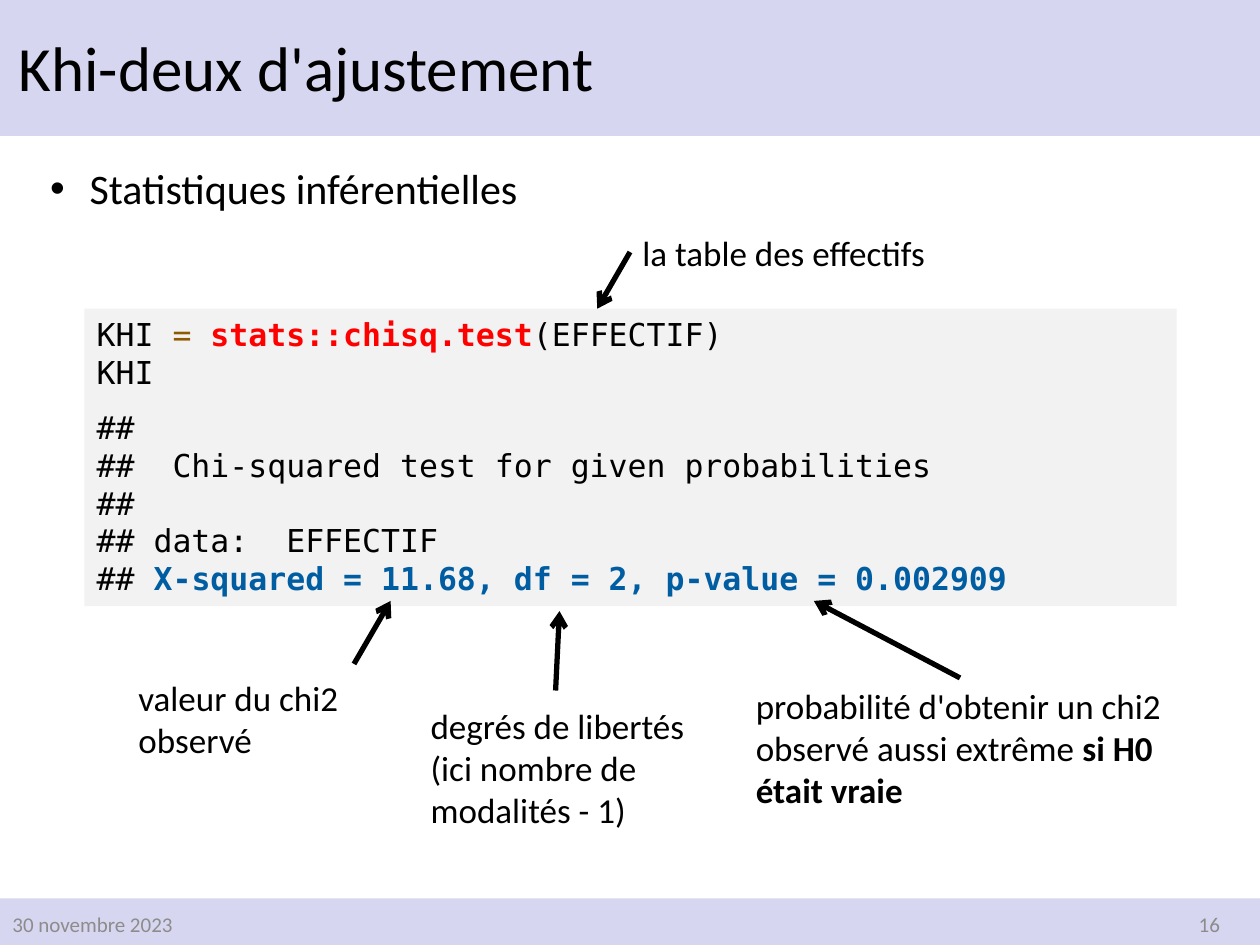
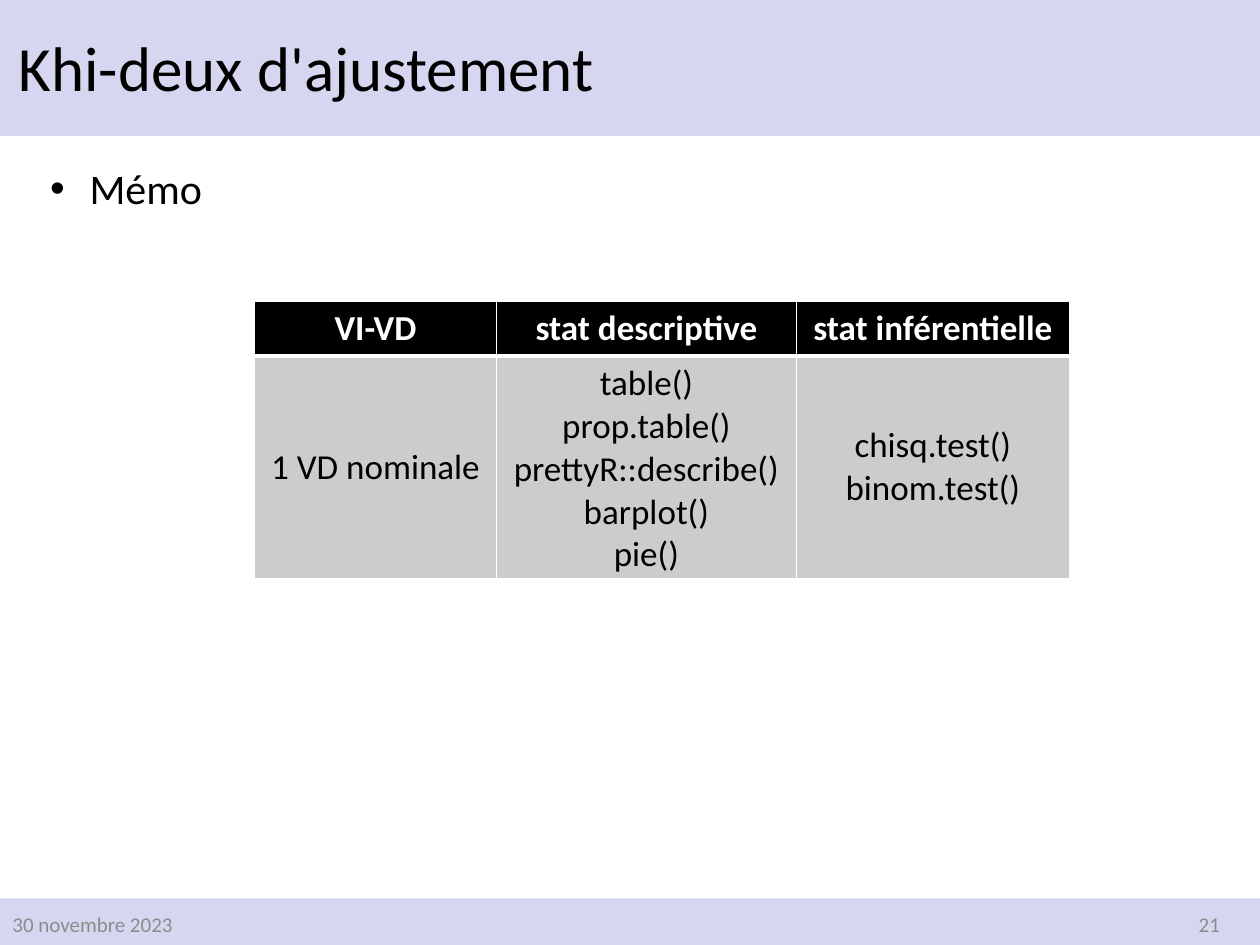
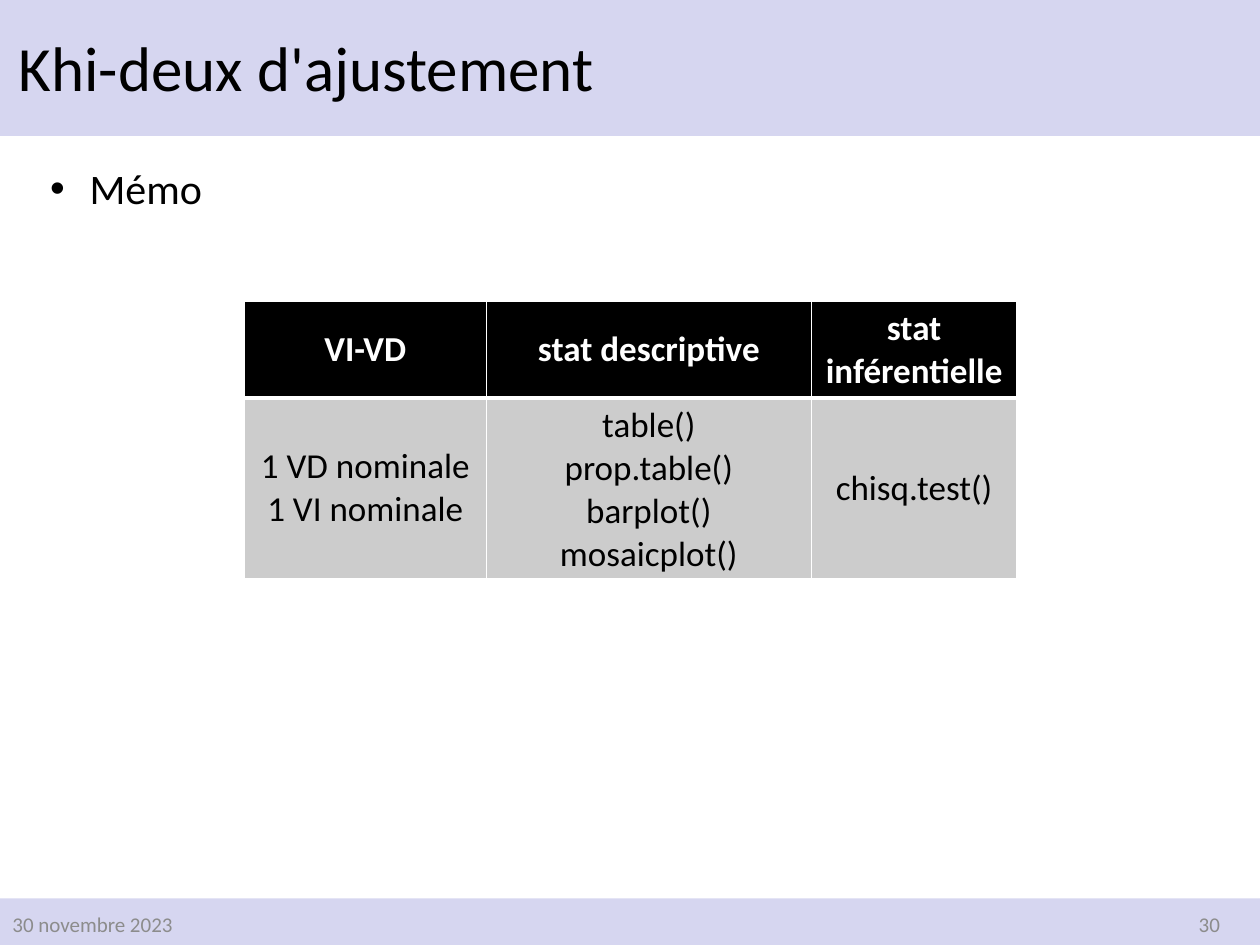
from lxml import etree
from pptx import Presentation
from pptx.dml.color import RGBColor
from pptx.enum import shapes, text
from pptx.oxml import ns
from pptx.util import Pt

COLORS = {
    "band": "D6D6F0", "footer": "8C8C8C", "ink": "000000", "paper": "FFFFFF",
    "code_box": "F2F2F2", "operator": "8F5902", "function": "FF0000",
    "result": "005DA2", "cell": "CCCCCC",
}

SANS = {"name": "Calibri", "bold": False, "color": "ink"}
CODE = {"name": "DejaVu Sans Mono", "size": 18, "bold": False, "color": "ink"}
STYLES = {
    "title": {**SANS, "size": 36},
    "topic": {**SANS, "size": 24},
    "note": {**SANS, "size": 20},
    "note_strong": {**SANS, "size": 20, "bold": True},
    "header": {**SANS, "size": 20, "bold": True, "color": "paper"},
    "footer": {**SANS, "size": 12, "color": "footer"},
    "code": CODE,
    "operator": {**CODE, "color": "operator"},
    "function": {**CODE, "bold": True, "color": "function"},
    "result": {**CODE, "bold": True, "color": "result"},
}

TITLE = "Khi-deux d'ajustement"
DATE = "30 novembre 2023"
BANDS = [(-28, -22.3, 764, 100), (-18, 513.4, 764, 37.4)]
TITLE_BOX = (3.6, 5, 618.5, 71.3)
DATE_BOX = (0, 513.4, 162, 28.8)
NUMBER_BOX = (542.2, 513.4, 162, 28.8)
TOPIC_BOX = (21.6, 89.3, 459.4, 36)
TOPIC_INDENT = 22.5

# Each paragraph is a list of (text, style) runs.
CODE_BOX = (48.2, 176.4, 624.2, 170)
CODE_PARAGRAPHS = [
    [("KHI ", "code"), ("= ", "operator"), ("stats::chisq.test", "function"),
     ("(EFFECTIF)\nKHI", "code")],
    [("## \n##  Chi-squared test for given probabilities\n## \n"
      "## data:  EFFECTIF\n## ", "code"),
     ("X-squared = 11.68, df = 2, p-value = 0.002909", "result")],
]

# Annotations: runs, text box, wrapping, arrow start, arrow end
ANNOTATIONS = [
    ([("la table des effectifs", "note")],
     (360, 128.9, 182.2, 31.5), False, (360, 144), (341.3, 176.4)),
    ([("probabilité d'obtenir un chi2 observé aussi extrême ", "note"),
      ("si H0 était vraie", "note_strong")],
     (424.8, 387.4, 247.7, 80), True, (548.6, 387.4), (465.1, 343.4)),
    ([("valeur du chi2 observé", "note")],
     (72, 383, 197.3, 55.7), True, (202.3, 379.4), (223.2, 343.4)),
    ([("degrés de libertés (ici nombre de modalités - 1)", "note")],
     (239, 398.9, 177.8, 80), True, (317.5, 394.6), (319.7, 349.2)),
]

TABLE_HEADERS = ["VI-VD", "stat descriptive", "stat inférentielle"]
TABLE_TOP, TABLE_HEIGHT, ROW_HEIGHT = 172.1, 158.4, 29.5

SLIDES = [
    {"number": 16, "topic": "Statistiques inférentielles"},
    {"number": 21, "topic": "Mémo", "left": 145.5, "widths": [138.2, 171.4, 156],
     "methods": [["1 VD nominale"],
                 ["table()", "prop.table()", "prettyR::describe()", "barplot()", "pie()"],
                 ["chisq.test()", "binom.test()"]]},
    {"number": 30, "topic": "Mémo", "left": 139.7, "widths": [138.2, 185.8, 117.4],
     "methods": [["1 VD nominale", "1 VI nominale"],
                 ["table()", "prop.table()", "barplot()", "mosaicplot()"],
                 ["chisq.test()"]]},
]


def points(values):
    return [Pt(value) for value in values]


def rgb(color):
    return RGBColor.from_string(COLORS[color])


def sub(parent, tag, **attributes):
    return etree.SubElement(parent, ns.qn(tag), attributes)


def write(frame, paragraphs, **layout):
    """Fill a text frame with paragraphs of runs, each with the given layout."""
    for index, runs in enumerate(paragraphs):
        paragraph = frame.paragraphs[0] if index == 0 else frame.add_paragraph()
        for name, value in layout.items():
            setattr(paragraph, name, value)
        for words, style in runs:
            for line_index, line in enumerate(words.split("\n")):
                if line_index:
                    paragraph.add_line_break()
                if line:
                    run = paragraph.add_run()
                    run.text = line
                    set_font(run.font, STYLES[style])


def set_font(font, style):
    for name, value in style.items():
        if name == "color":
            font.color.rgb = rgb(value)
        else:
            setattr(font, name, Pt(value) if name == "size" else value)


def add_rectangle(slide, box, color):
    rectangle = slide.shapes.add_shape(shapes.MSO_SHAPE.RECTANGLE, *points(box))
    rectangle.shadow.inherit = False
    rectangle.fill.solid()
    rectangle.fill.fore_color.rgb = rgb(color)
    rectangle.line.fill.background()
    return rectangle


def add_text(slide, box, runs, wrap=True, middle=False, **layout):
    """Add one paragraph, in a fixed centred box or in one that fits its text."""
    frame = slide.shapes.add_textbox(*points(box)).text_frame
    frame.word_wrap = wrap
    if middle:
        frame.vertical_anchor = text.MSO_ANCHOR.MIDDLE
    else:
        frame.auto_size = text.MSO_AUTO_SIZE.SHAPE_TO_FIT_TEXT
    write(frame, [runs], **layout)
    return frame


def add_arrow(slide, start, end):
    arrow = slide.shapes.add_connector(
        shapes.MSO_CONNECTOR.STRAIGHT, *points(start + end))
    arrow.line.color.rgb = rgb("ink")
    arrow.line.width = Pt(3)
    sub(arrow.line._get_or_add_ln(), "a:tailEnd", type="arrow")
    sub(arrow._element.spPr, "a:effectLst")


def add_borders(cell, bottom):
    properties = cell._tc.get_or_add_tcPr()
    for side, width in (("L", 1), ("R", 1), ("T", 1), ("B", bottom)):
        border = sub(properties, f"a:ln{side}", w=str(Pt(width)))
        sub(sub(border, "a:solidFill"), "a:srgbClr", val=COLORS["paper"])


def add_methods_table(slide, left, widths, methods):
    rows = [
        ([[header] for header in TABLE_HEADERS], "header", "ink", 3),
        (methods, "note", "cell", 1),
    ]
    frame = slide.shapes.add_table(
        len(rows), len(widths),
        *points((left, TABLE_TOP, sum(widths), TABLE_HEIGHT)))
    table = frame.table
    table.first_row = table.horz_banding = False
    for column, width in zip(table.columns, widths):
        column.width = Pt(width)
    for row, (cells, style, fill, bottom) in zip(table.rows, rows):
        row.height = Pt(ROW_HEIGHT)
        for cell, lines in zip(row.cells, cells):
            add_borders(cell, bottom)
            cell.fill.solid()
            cell.fill.fore_color.rgb = rgb(fill)
            cell.vertical_anchor = text.MSO_ANCHOR.MIDDLE
            write(cell.text_frame, [[(line, style)] for line in lines],
                  alignment=text.PP_ALIGN.CENTER)
    frame.height = Pt(TABLE_HEIGHT)


def add_annotated_code(slide):
    frame = add_rectangle(slide, CODE_BOX, "code_box").text_frame
    frame.word_wrap = True
    frame.vertical_anchor = text.MSO_ANCHOR.TOP
    frame.auto_size = text.MSO_AUTO_SIZE.SHAPE_TO_FIT_TEXT
    write(frame, CODE_PARAGRAPHS, alignment=text.PP_ALIGN.LEFT, space_after=Pt(10))
    for runs, box, wrap, start, end in ANNOTATIONS:
        add_arrow(slide, start, end)
        add_text(slide, box, runs, wrap)


def add_common_parts(slide, number):
    for band in BANDS:
        add_rectangle(slide, band, "band")
    add_text(slide, DATE_BOX, [(DATE, "footer")], middle=True)
    add_text(slide, NUMBER_BOX, [(str(number), "footer")], middle=True,
             alignment=text.PP_ALIGN.RIGHT)
    add_text(slide, TITLE_BOX, [(TITLE, "title")], middle=True, line_spacing=0.9)


def add_topic(slide, topic):
    frame = add_text(slide, TOPIC_BOX, [(topic, "topic")])
    properties = frame.paragraphs[0]._p.get_or_add_pPr()
    properties.set("marL", str(Pt(TOPIC_INDENT)))
    properties.set("indent", str(-Pt(TOPIC_INDENT)))
    sub(properties, "a:buFont", typeface="Arial")
    sub(properties, "a:buChar", char="•")


def main():
    deck = Presentation()
    deck.slide_width, deck.slide_height = Pt(720), Pt(540)
    for content in SLIDES:
        slide = deck.slides.add_slide(deck.slide_layouts[6])
        add_common_parts(slide, content["number"])
        if "methods" in content:
            add_methods_table(slide, content["left"], content["widths"],
                              content["methods"])
        else:
            add_annotated_code(slide)
        add_topic(slide, content["topic"])
    deck.save("out.pptx")


if __name__ == "__main__":
    main()
